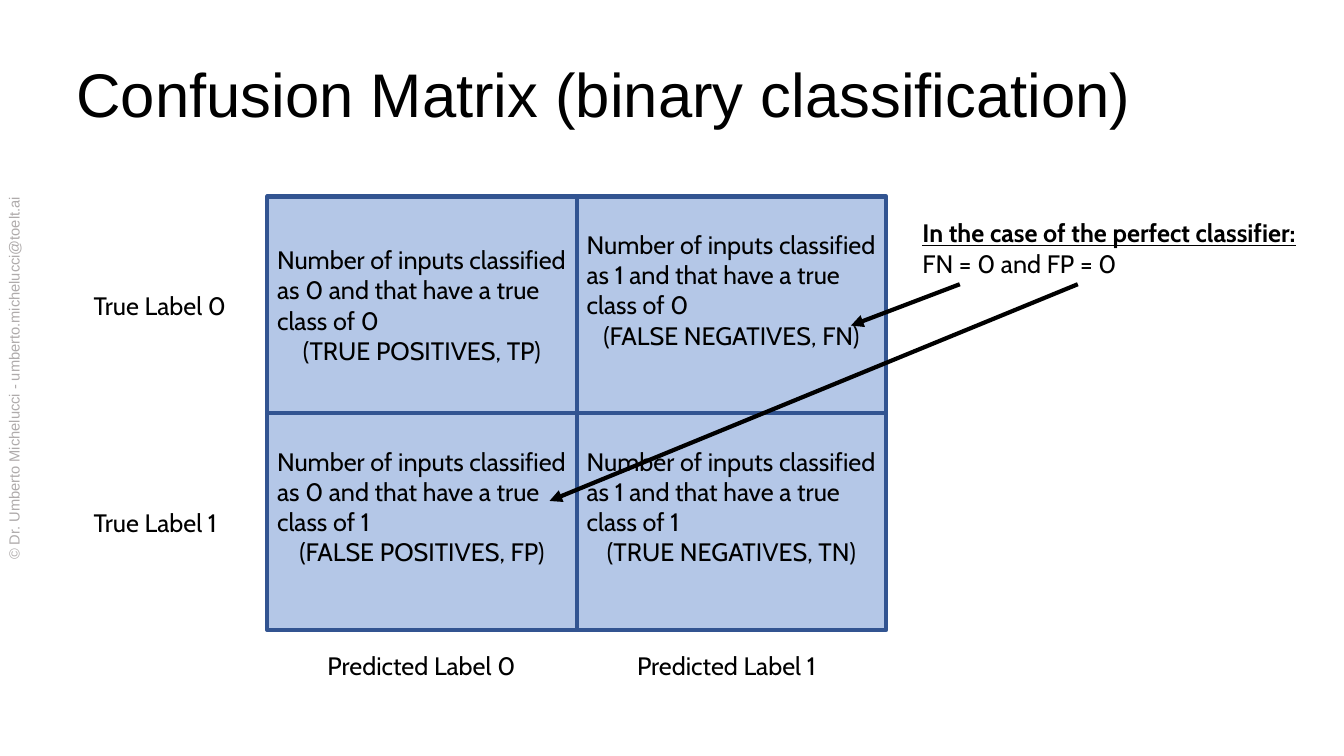
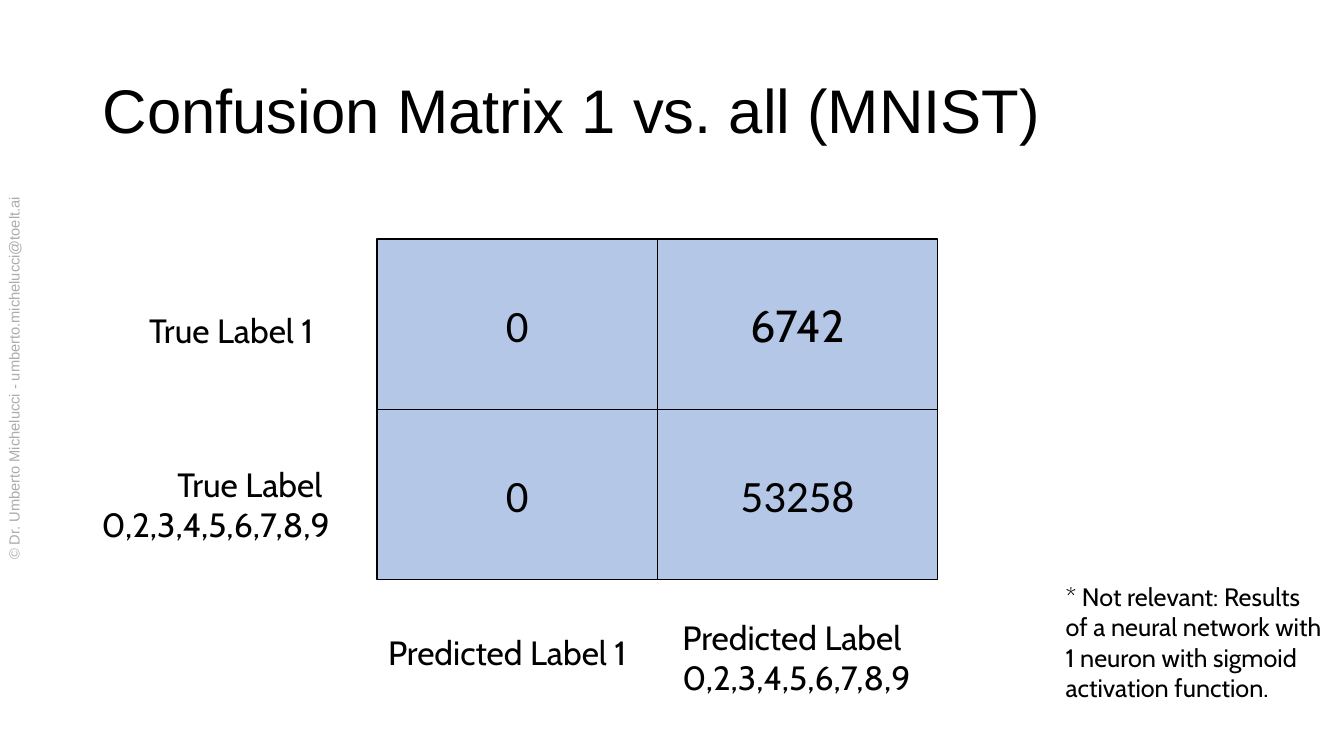
"""Build two slides that explain the confusion matrix of a binary classifier."""
import pptx
import pptx.dml.color
import pptx.enum.shapes
import pptx.enum.text
import pptx.oxml.ns
import pptx.util
from lxml import etree
from pptx.util import Inches

RGBColor = pptx.dml.color.RGBColor
ALIGN = pptx.enum.text.PP_ALIGN
ANCHOR = pptx.enum.text.MSO_ANCHOR

BLACK = RGBColor(0x00, 0x00, 0x00)
WHITE = RGBColor(0xFF, 0xFF, 0xFF)
GREY = RGBColor(0xAF, 0xAB, 0xAB)
CELL_BLUE = RGBColor(0xB4, 0xC7, 0xE7)
BORDER_BLUE = RGBColor(0x32, 0x54, 0x91)

TITLE_FONT = "Arial"
BODY_FONT = "Cabin"
NUMBER_FONT = "Calibri"
COPYRIGHT = "© Dr. Umberto Michelucci - umberto.michelucci@toelt.ai"
OTHER_DIGITS = "0,2,3,4,5,6,7,8,9"


def style_paragraph(para, text, size, font=BODY_FONT, color=BLACK, align=ALIGN.LEFT):
    para.text = text
    para.alignment = align
    para.font.size = pptx.util.Pt(size)
    para.font.name = font
    para.font.color.rgb = color


def add_text(page, left, top, width, height, lines, size, wrap=False, **style):
    box = page.shapes.add_textbox(
        Inches(left), Inches(top), Inches(width), Inches(height))
    frame = box.text_frame
    frame.word_wrap = wrap
    frame.auto_size = pptx.enum.text.MSO_AUTO_SIZE.SHAPE_TO_FIT_TEXT
    for index, line in enumerate(lines):
        para = frame.add_paragraph() if index else frame.paragraphs[0]
        style_paragraph(para, line, size, **style)
    return box


def add_page(deck, title, left, top):
    page = deck.slides.add_slide(deck.slide_layouts[6])
    page.background.fill.solid()
    page.background.fill.fore_color.rgb = WHITE
    box = add_text(page, left, top, 11.5, 1.45, [title], 44, wrap=True, font=TITLE_FONT)
    box.text_frame.auto_size = pptx.enum.text.MSO_AUTO_SIZE.NONE
    box.text_frame.vertical_anchor = ANCHOR.MIDDLE
    box.text_frame.paragraphs[0].line_spacing = 0.9
    return page


def add_copyright(page):
    box = add_text(page, -2.02, 3.61, 4.33, 0.29, [COPYRIGHT], 10.5, wrap=True,
                   font=TITLE_FONT, color=GREY, align=ALIGN.CENTER)
    box.rotation = 270


def add_matrix(page, left, top, width, height, border, weight):
    """Draw a two by two matrix and return its text frames row by row."""
    frames = []
    for row in range(2):
        for column in range(2):
            cell = page.shapes.add_shape(
                pptx.enum.shapes.MSO_SHAPE.RECTANGLE,
                Inches(left + column * width), Inches(top + row * height),
                Inches(width), Inches(height))
            cell.shadow.inherit = False
            cell.fill.solid()
            cell.fill.fore_color.rgb = CELL_BLUE
            cell.line.color.rgb = border
            cell.line.width = pptx.util.Pt(weight)
            cell.text_frame.word_wrap = True
            cell.text_frame.vertical_anchor = ANCHOR.MIDDLE
            frames.append(cell.text_frame)
    return frames


def add_arrow(page, start, end):
    arrow = page.shapes.add_connector(
        pptx.enum.shapes.MSO_CONNECTOR.STRAIGHT,
        *(Inches(value) for value in (*start, *end)))
    arrow.line.color.rgb = BLACK
    arrow.line.width = pptx.util.Pt(3)
    qualify = pptx.oxml.ns.qn
    etree.SubElement(arrow.line._get_or_add_ln(), qualify("a:tailEnd"), type="triangle")
    etree.SubElement(arrow._element.spPr, qualify("a:effectLst"))


def build_definition_page(deck):
    page = add_page(deck, "Confusion Matrix (binary classification)", 0.66, 0.24)
    left, top, width, height = 2.65, 1.95, 3.07, 2.15
    frames = add_matrix(page, left, top, width, height, BORDER_BLUE, 3)
    outcomes = ["TRUE POSITIVES, TP", "FALSE NEGATIVES, FN",
                "FALSE POSITIVES, FP", "TRUE NEGATIVES, TN"]
    for index, (frame, outcome) in enumerate(zip(frames, outcomes)):
        true_label, predicted = divmod(index, 2)
        description = (f"Number of inputs classified as {predicted} "
                       f"and that have a true class of {true_label}")
        style_paragraph(frame.paragraphs[0], description, 18)
        style_paragraph(frame.add_paragraph(), f"({outcome})", 18, align=ALIGN.CENTER)
        if index:
            frame.margin_bottom = Inches(0.35)
    for label in range(2):
        add_text(page, 0.83, 2.83 + label * height, 1.51, 0.4,
                 [f"True Label {label}"], 18)
        add_text(page, 3.15 + label * width, 6.4, 2.07, 0.4,
                 [f"Predicted Label {label}"], 18)
    note = add_text(page, 9.05, 2.11, 4.28, 0.71,
                    ["In the case of the perfect classifier:", "FN = 0 and FP = 0"],
                    18, wrap=True)
    heading = note.text_frame.paragraphs[0]
    heading.font.bold = True
    heading.font.underline = True
    add_arrow(page, (9.52, 2.82), (8.44, 3.23))
    add_arrow(page, (10.69, 2.82), (5.45, 4.97))
    add_copyright(page)


def build_digits_page(deck):
    page = add_page(deck, "Confusion Matrix 1 vs. all (MNIST)", 0.92, 0.4)
    frames = add_matrix(page, 3.74, 2.37, 2.78, 1.69, BLACK, 1)
    counts = [("0", NUMBER_FONT), ("6742", BODY_FONT),
              ("0", NUMBER_FONT), ("53258", NUMBER_FONT)]
    for frame, (count, font) in zip(frames, counts):
        style_paragraph(frame.paragraphs[0], count, 32, font=font, align=ALIGN.CENTER)
    add_text(page, 1.38, 3.03, 1.95, 0.5, ["True Label 1"], 24)
    add_text(page, 3.75, 6.22, 2.69, 0.5, ["Predicted Label 1"], 24)
    add_text(page, 0.71, 4.55, 2.66, 0.91, ["True Label ", OTHER_DIGITS], 24,
             align=ALIGN.RIGHT)
    add_text(page, 6.67, 6.07, 2.66, 0.91, ["Predicted Label", OTHER_DIGITS], 24)
    add_text(page, 10.47, 5.72, 2.78, 1.31,
             ["* Not relevant: Results of a neural network with 1 neuron "
              "with sigmoid activation function."], 18, wrap=True)
    add_copyright(page)


def main():
    deck = pptx.Presentation()
    deck.slide_width = Inches(13.33)
    deck.slide_height = Inches(7.5)
    build_definition_page(deck)
    build_digits_page(deck)
    deck.save("out.pptx")


if __name__ == "__main__":
    main()
